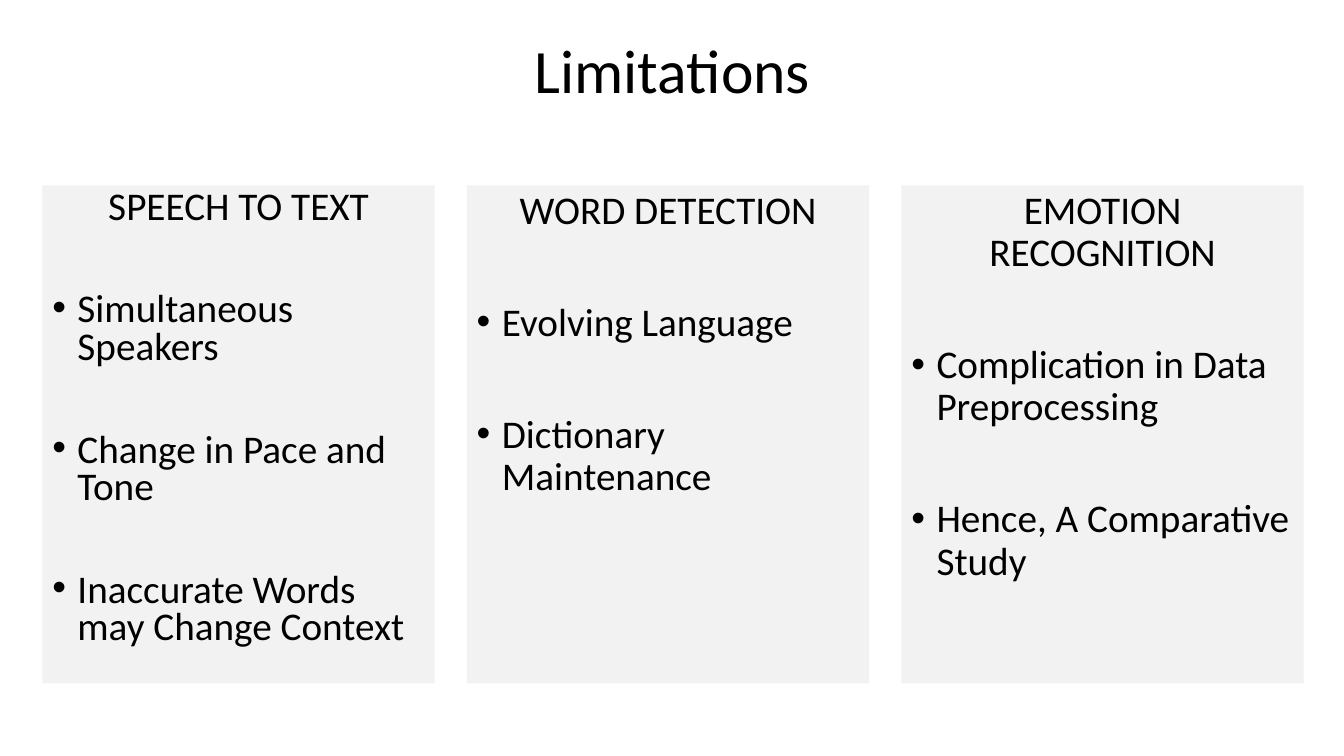
from lxml import etree
from pptx import Presentation
from pptx.dml.color import RGBColor
from pptx.enum.shapes import MSO_SHAPE
from pptx.enum.text import MSO_ANCHOR, MSO_AUTO_SIZE, PP_ALIGN
from pptx.oxml.ns import qn
from pptx.util import Inches, Pt

RECT = MSO_SHAPE.RECTANGLE
TOP, MIDDLE = MSO_ANCHOR.TOP, MSO_ANCHOR.MIDDLE
LEFT, CENTER = PP_ALIGN.LEFT, PP_ALIGN.CENTER
NO_FIT = MSO_AUTO_SIZE.NONE

WIDE, HIGH = 13.33, 7.5
FONT, INK, PANEL = "Calibri", "000000", "F2F2F2"
SIZE = 28
TITLE_BOX = (0.92, 0, 11.5, 1.45)

# Panel row: first left edge, top, height and gap
START, ROW, TALL, GAP = 0.42, 1.84, 4.94, 0.32

# Width, line spacing, heading, points
PANELS = [
    (3.89, 0.8, "SPEECH TO TEXT",
     ["Simultaneous Speakers", "Change in Pace and Tone",
      "Inaccurate Words may Change Context"]),
    (3.99, 0.9, "WORD DETECTION",
     ["Evolving Language", "Dictionary Maintenance"]),
    (3.99, 0.9, "EMOTION RECOGNITION",
     ["Complication in Data Preprocessing", "Hence, A Comparative Study"]),
]


def color(code):
    return RGBColor.from_string(code)


def set_frame(frame, anchor):
    frame.word_wrap = True
    frame.auto_size = NO_FIT
    frame.vertical_anchor = anchor


def write(para, text, size, align, line, before=0):
    para.alignment = align
    para.line_spacing = line
    para.space_before = Pt(before)
    run = para.add_run()
    run.text = text
    run.font.name = FONT
    run.font.size = Pt(size)
    run.font.color.rgb = color(INK)


def add_bullet(para):
    props = para._p.get_or_add_pPr()
    props.set("marL", str(Inches(0.25)))
    props.set("indent", str(Inches(-0.25)))
    font = etree.SubElement(props, qn("a:buFont"))
    font.set("typeface", "Arial")
    mark = etree.SubElement(props, qn("a:buChar"))
    mark.set("char", "•")


def add_title(slide, text):
    title = slide.shapes.title
    title.left, title.top, title.width, title.height = map(Inches, TITLE_BOX)
    set_frame(title.text_frame, MIDDLE)
    write(title.text_frame.paragraphs[0], text, 44, CENTER, 0.9)


def add_panel(slide, left, width, line, head, points):
    panel = slide.shapes.add_shape(
        RECT, Inches(left), Inches(ROW), Inches(width), Inches(TALL))
    panel.shadow.inherit = False
    panel.fill.solid()
    panel.fill.fore_color.rgb = color(PANEL)
    panel.line.fill.background()
    frame = panel.text_frame
    set_frame(frame, TOP)
    write(frame.paragraphs[0], head, SIZE, CENTER, line, 10)

    # One open line plus its margins before each point
    before = round(19 + SIZE * 1.22 * line, 1)
    for point in points:
        para = frame.add_paragraph()
        write(para, point, SIZE, LEFT, line, before)
        add_bullet(para)


def main():
    deck = Presentation()
    deck.slide_width, deck.slide_height = Inches(WIDE), Inches(HIGH)
    slide = deck.slides.add_slide(deck.slide_layouts.get_by_name("Title Only"))
    add_title(slide, "Limitations")

    # Panels from left to right
    left = START
    for width, line, head, points in PANELS:
        add_panel(slide, left, width, line, head, points)
        left += width + GAP
    deck.save("out.pptx")


if __name__ == "__main__":
    main()
